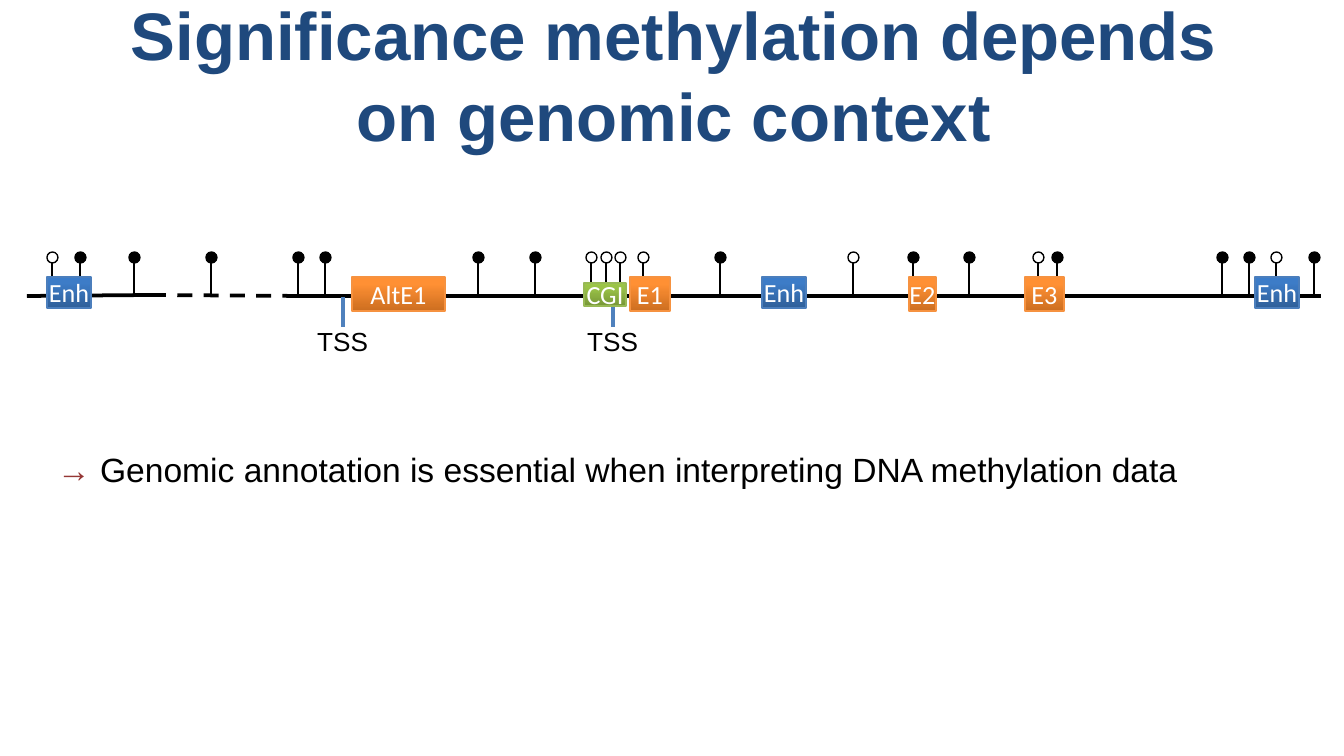
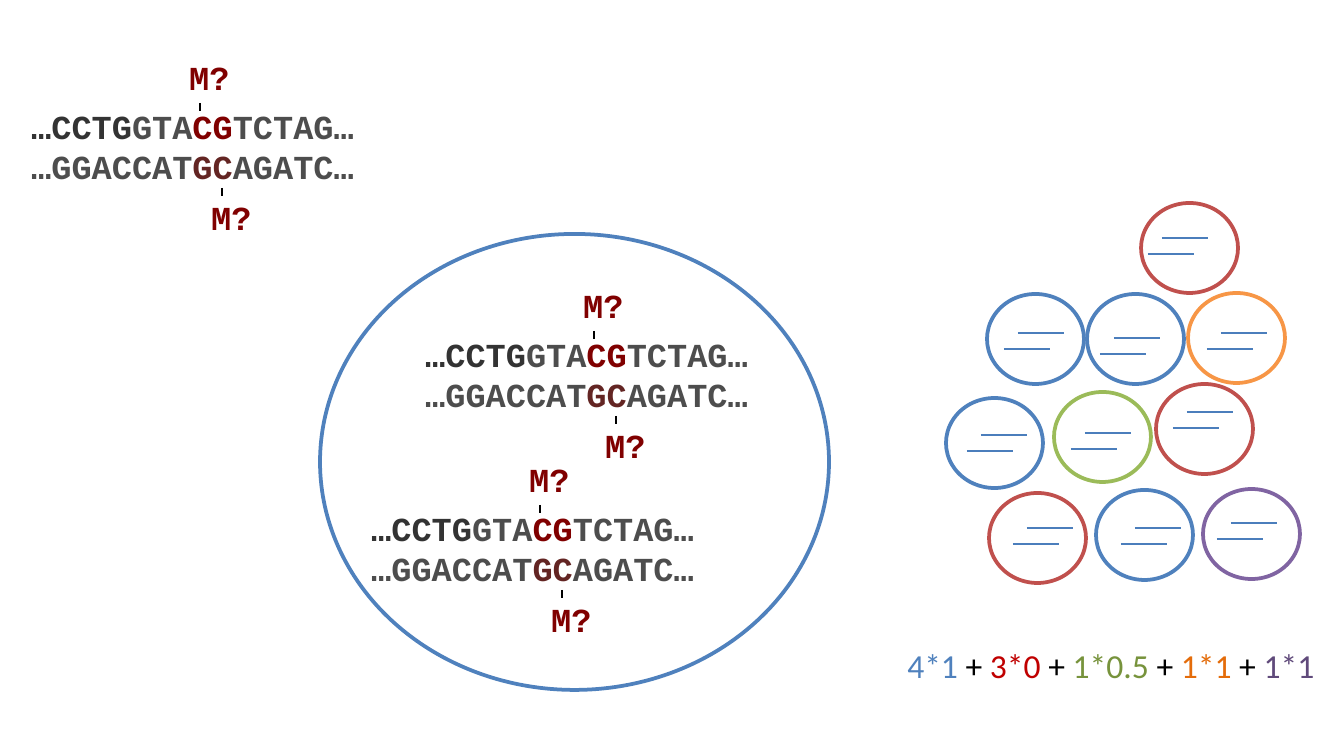
from copy import deepcopy

from lxml.etree import SubElement
from pptx import Presentation
from pptx.dml.color import RGBColor
from pptx.enum.dml import MSO_LINE
from pptx.enum.shapes import MSO_CONNECTOR, MSO_SHAPE
from pptx.enum.text import MSO_ANCHOR, MSO_AUTO_SIZE, PP_ALIGN
from pptx.oxml.ns import qn
from pptx.util import Emu, Pt

EMU_PER_PX = 914400 / 134.4

BLACK, WHITE, NAVY = "000000", "FFFFFF", "1F497D"
BLUE, RED, GREEN = "4F81BD", "C0504D", "9BBB59"
ORANGE, PURPLE, STRAND_BLUE = "F79646", "8064A2", "4B7EBC"
DARK_GREY, GREY, MAROON, BROWN = "333333", "4D4D4D", "800000", "632523"

EXON = (("CC6E20", "FF9034", "FF9136"), "F69240")
ENHANCER = (("2F5F99", "3D7CC7", "3A7CCB"), STRAND_BLUE)
ISLAND = (("779737", "9BC348", "9DC746"), "98B955")

OPEN_SITES = [52, 591, 606, 620, 643, 853, 1038, 1276]
METHYLATED_SITES = [80, 134, 211, 298, 325, 478, 535, 720, 913, 969,
                    1057, 1222, 1249, 1314]

FEATURES = [
    ("E1", 630, 277, 40, 34, EXON),
    ("E2", 909, 277, 27, 34, EXON),
    ("E3", 1025, 277, 39, 34, EXON),
    ("AltE1", 352, 277, 93, 34, EXON),
    ("Enh", 47, 277, 44, 31, ENHANCER),
    ("Enh", 762, 277, 44, 31, ENHANCER),
    ("Enh", 1255, 277, 44, 31, ENHANCER),
    ("CGI", 584, 283, 42, 23, ISLAND),
]

CELLS = [
    (946, 398, BLUE, 981, 435),
    (1054, 392, GREEN, 1085, 433),
    (1156, 384, RED, 1187, 412),
    (989, 493, RED, 1027, 528),
    (1087, 294, BLUE, 1114, 338),
    (1096, 490, BLUE, 1135, 528),
    (1188, 293, ORANGE, 1221, 333),
    (987, 294, BLUE, 1018, 333),
    (1203, 489, PURPLE, 1231, 523),
    (1141, 203, RED, 1162, 238),
]

SEQUENCE = [
    [("…CCTG", DARK_GREY), ("GTA", GREY), ("CG", MAROON), ("TCTAG…", GREY)],
    [("…GGACCAT", GREY), ("GC", BROWN), ("AGATC…", GREY)],
]

FORMULA = [("4*1", BLUE), ("3*0", "C00000"), ("1*0.5", "77933C"),
           ("1*1", "E46C0A"), ("1*1", "604A7B")]


def px(n):
    return Emu(round(n * EMU_PER_PX))


def box(*lengths):
    return [px(n) for n in lengths]


def rgb(color):
    return RGBColor.from_string(color)


def add_runs(p, runs, font, size, bold=False):
    for text, color in runs:
        r = p.add_run()
        r.text = text
        r.font.name = font
        r.font.size = Pt(size)
        r.font.bold = bold
        r.font.color.rgb = rgb(color)


def add_text(s, x, y, w, h, lines, font="Arial", size=18, bold=False):
    tf = s.shapes.add_textbox(*box(x, y, w, h)).text_frame
    tf.word_wrap = False
    tf.auto_size = MSO_AUTO_SIZE.SHAPE_TO_FIT_TEXT
    for i, runs in enumerate(lines):
        p = tf.add_paragraph() if i else tf.paragraphs[0]
        add_runs(p, runs, font, size, bold)


def add_title(s, text):
    tf = s.shapes.add_textbox(*box(69, 19, 1210, 110)).text_frame
    tf.word_wrap = True
    tf.vertical_anchor = MSO_ANCHOR.MIDDLE
    p = tf.paragraphs[0]
    p.alignment = PP_ALIGN.CENTER
    add_runs(p, [(text, NAVY)], "Arial", 36, True)


def add_line(s, x1, y1, x2, y2, color=BLACK, width=0.75, dash=None):
    c = s.shapes.add_connector(MSO_CONNECTOR.STRAIGHT, *box(x1, y1, x2, y2))
    c.line.color.rgb = rgb(color)
    c.line.width = Pt(width)
    if dash:
        c.line.dash_style = dash
    SubElement(c._element.spPr, qn("a:effectLst"))


def add_ellipse(s, x, y, w, h, fill, line, width):
    sp = s.shapes.add_shape(MSO_SHAPE.OVAL, *box(x, y, w, h))
    sp.shadow.inherit = False
    sp.fill.solid()
    sp.fill.fore_color.rgb = rgb(fill)
    sp.line.color.rgb = rgb(line)
    sp.line.width = Pt(width)


def fill_gradient(sp, colors):
    sp.fill.gradient()
    sp.fill.gradient_angle = 90
    stops = sp._element.spPr.find(".//" + qn("a:gsLst"))
    stops.append(deepcopy(stops[-1]))
    for stop, position, color in zip(sp.fill.gradient_stops, (0, 0.8, 1), colors):
        stop.position = position
        stop.color.rgb = rgb(color)


def add_feature(s, name, x, y, w, h, style):
    colors, line = style
    sp = s.shapes.add_shape(MSO_SHAPE.RECTANGLE, *box(x, y, w, h))
    sp.shadow.inherit = False
    fill_gradient(sp, colors)
    sp.line.color.rgb = rgb(line)
    sp.line.width = Pt(0.75)
    tf = sp.text_frame
    tf.margin_left = tf.margin_right = tf.margin_top = tf.margin_bottom = 0
    tf.vertical_anchor = MSO_ANCHOR.MIDDLE
    p = tf.paragraphs[0]
    p.alignment = PP_ALIGN.CENTER
    add_runs(p, [(name, WHITE)], "Calibri", 14)


def add_site(s, x, fill):
    add_line(s, x, 263, x, 297)
    add_ellipse(s, x - 5, 252, 11, 11, fill, BLACK, 0.75)


def add_start_site(s, x):
    add_line(s, x, 327, x, 297, BLUE, 2)
    add_text(s, x - 39, 319, 78, 46, [[("TSS", BLACK)]], size=14)


def add_methyl_mark(s, tick_x, tick_y, text_y):
    add_line(s, tick_x, tick_y, tick_x, tick_y + 8, width=1)
    add_text(s, tick_x - 24, text_y, 71, 58, [[("M?", MAROON)]], "Courier New", bold=True)


def add_sequence(s, x, y):
    add_text(s, x, y, 351, 95, SEQUENCE, "Courier New", bold=True)
    add_methyl_mark(s, x + 182, y + 4, y - 49)
    add_methyl_mark(s, x + 204, y + 89, y + 91)


def add_cell(s, x, y, color, strand_x, strand_y):
    add_ellipse(s, x, y, 97, 90, WHITE, color, 2)
    for dx, dy in ((0, 0), (-14, 16)):
        left, top = strand_x + dx, strand_y + dy
        add_line(s, left, top, left + 46, top, STRAND_BLUE)


def add_formula(s):
    runs = []
    for i, term in enumerate(FORMULA):
        if i:
            runs.append((" + ", BLACK))
        runs.append(term)
    add_text(s, 894, 638, 439, 54, [runs], "Calibri")


def build_context_slide(s):
    for sites, fill in ((OPEN_SITES, WHITE), (METHYLATED_SITES, BLACK)):
        for x in sites:
            add_site(s, x, fill)
    add_title(s, "Significance methylation depends on genomic context")
    add_line(s, 292, 296, 1321, 296, width=2)
    add_line(s, 27, 296, 151, 295, width=2)
    add_line(s, 151, 295, 304, 296, width=2, dash=MSO_LINE.DASH)
    for x in (343, 613):
        add_start_site(s, x)
    for feature in FEATURES:
        add_feature(s, *feature)
    add_text(s, 44, 442, 1284, 59, [[
        ("→ ", "953735"),
        ("Genomic annotation is essential when interpreting DNA methylation data", BLACK),
    ]])


def build_cells_slide(s):
    add_ellipse(s, 320, 234, 509, 456, WHITE, BLUE, 2)
    for x, y in ((18, 99), (412, 327), (358, 501)):
        add_sequence(s, x, y)
    for cell in CELLS:
        add_cell(s, *cell)
    add_formula(s)


def main():
    prs = Presentation()
    prs.slide_width, prs.slide_height = box(1344, 756)
    for build in (build_context_slide, build_cells_slide):
        build(prs.slides.add_slide(prs.slide_layouts[6]))
    prs.save("out.pptx")


if __name__ == "__main__":
    main()
